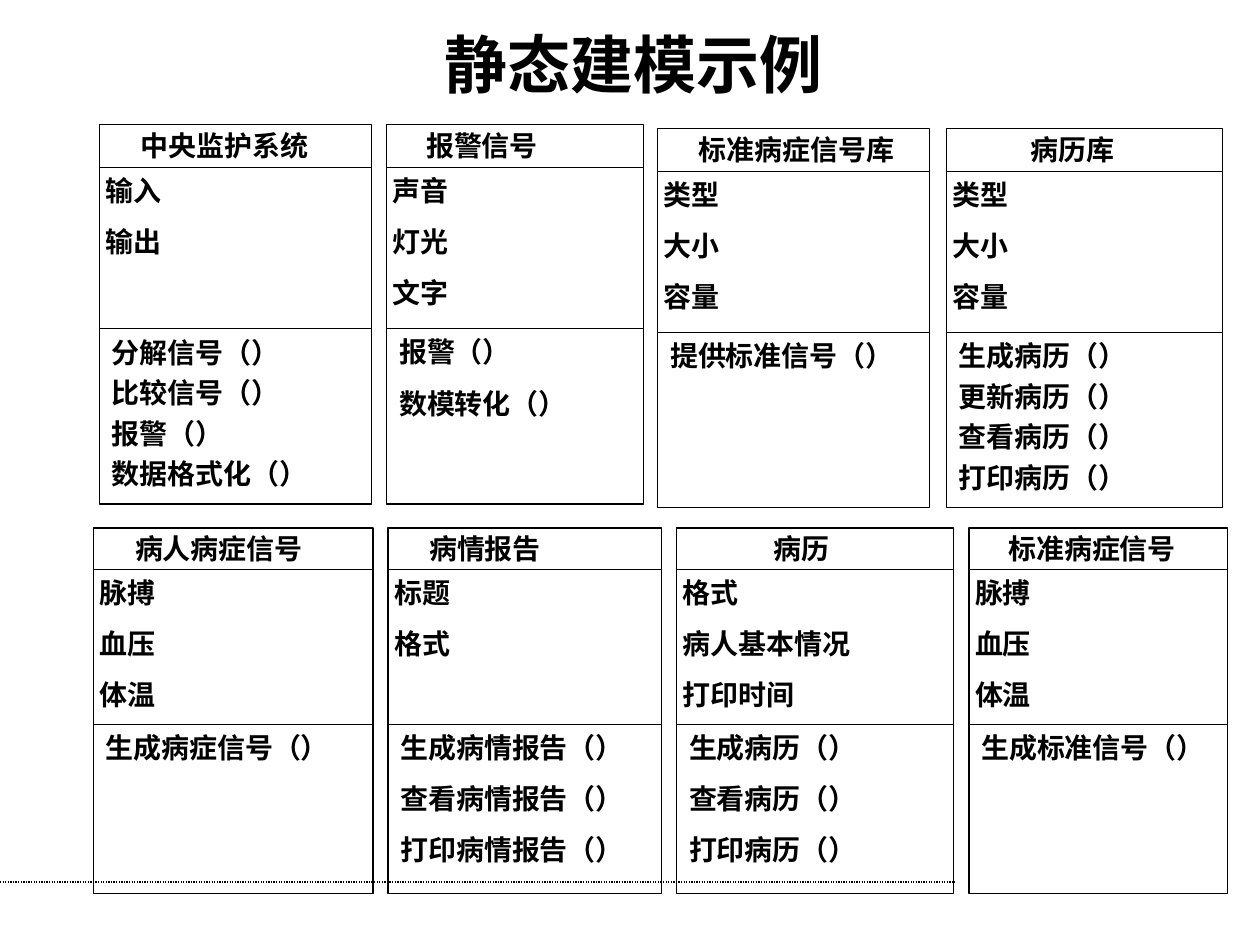
from dataclasses import dataclass

from lxml import etree
from pptx import Presentation
from pptx.dml.color import RGBColor
from pptx.enum import dml, shapes, text
from pptx.oxml import ns
from pptx.util import Inches, Pt


@dataclass(frozen=True)
class Theme:
    ink: RGBColor = RGBColor(0, 0, 0)
    paper: RGBColor = RGBColor(255, 255, 255)
    title_font: str = "Arial"
    body_font: str = "Times New Roman"
    title_size: Pt = Pt(36)
    body_size: Pt = Pt(16)
    line: Pt = Pt(0.75)


@dataclass(frozen=True)
class Row:
    """Shared proportions of the class boxes in one row, in inches."""
    height: float
    attributes: float
    operations: float


@dataclass(frozen=True)
class ClassBox:
    left: float
    top: float
    width: float
    name: str
    attributes: tuple
    operations: tuple
    name_indent: float = 0
    operation_gap: int = 10


THEME = Theme()
UPPER = Row(3.01, 0.34, 1.62)
LOWER = Row(2.9, 0.33, 1.56)
VITALS = ("脉搏", "血压", "体温")
STORE = ("类型", "大小", "容量")

CLASSES = {
    UPPER: (
        ClassBox(0.79, 0.99, 2.16, "中央监护系统", ("输入", "输出"),
                 ("分解信号（）", "比较信号（）", "报警（）", "数据格式化（）"),
                 operation_gap=4),
        ClassBox(3.07, 0.99, 2.04, "报警信号", ("声音", "灯光", "文字"),
                 ("报警（）", "数模转化（）")),
        ClassBox(5.22, 1.02, 2.16, "标准病症信号库", STORE, ("提供标准信号（）",)),
        ClassBox(7.51, 1.02, 2.19, "病历库", STORE,
                 ("生成病历（）", "更新病历（）", "查看病历（）", "打印病历（）"),
                 name_indent=0.34, operation_gap=4),
    ),
    LOWER: (
        ClassBox(0.74, 4.19, 2.22, "病人病症信号", VITALS, ("生成病症信号（）",)),
        ClassBox(3.08, 4.19, 2.17, "病情报告", ("标题", "格式"),
                 ("生成病情报告（）", "查看病情报告（）", "打印病情报告（）")),
        ClassBox(5.37, 4.19, 2.2, "病历", ("格式", "病人基本情况", "打印时间"),
                 ("生成病历（）", "查看病历（）", "打印病历（）"), name_indent=0.44),
        ClassBox(7.69, 4.19, 2.05, "标准病症信号", VITALS, ("生成标准信号（）",)),
    ),
}


def add_rule(s, left, y, width):
    """Draw a horizontal line."""
    rule = s.shapes.add_connector(shapes.MSO_CONNECTOR.STRAIGHT, Inches(left),
                                  Inches(y), Inches(left + width), Inches(y))
    rule.line.color.rgb = THEME.ink
    rule.line.width = THEME.line
    etree.SubElement(rule._element.spPr, ns.qn("a:effectLst"))
    return rule


def add_lines(s, left, top, width, lines, gap=10, indent=0):
    """Place one paragraph per line, gap points apart."""
    height = 0.1 + 0.27 * len(lines) + gap / 72 * (len(lines) - 1)
    sp = s.shapes.add_textbox(Inches(left), Inches(top), Inches(width), Inches(height))
    tf = sp.text_frame
    tf.word_wrap = True
    tf.margin_left = Inches(0.1 + indent)
    for i, line in enumerate(lines):
        p = tf.paragraphs[0] if i == 0 else tf.add_paragraph()
        p.alignment = text.PP_ALIGN.JUSTIFY
        if i:
            p.space_before = Pt(gap)
        r = p.add_run()
        r.text = line
        r.font.name = THEME.body_font
        r.font.size = THEME.body_size
        r.font.bold = True
        r.font.color.rgb = THEME.ink


def add_title(s, left, top, width, height):
    sp = s.shapes.add_textbox(Inches(left), Inches(top), Inches(width), Inches(height))
    tf = sp.text_frame
    tf.word_wrap = True
    tf.vertical_anchor = text.MSO_ANCHOR.MIDDLE
    p = tf.paragraphs[0]
    p.alignment = text.PP_ALIGN.CENTER
    r = p.add_run()
    r.text = "静态建模示例"
    r.font.name = THEME.title_font
    r.font.size = THEME.title_size
    r.font.bold = True
    r.font.color.rgb = THEME.ink


def add_class(s, row, box):
    """Draw a frame with name, attribute and operation compartments."""
    frame = s.shapes.add_shape(shapes.MSO_SHAPE.RECTANGLE, Inches(box.left),
                               Inches(box.top), Inches(box.width), Inches(row.height))
    frame.shadow.inherit = False
    frame.fill.background()
    frame.line.color.rgb = THEME.ink
    frame.line.width = THEME.line

    text_width = box.width * 1.1
    add_lines(s, box.left + box.width * 0.105, box.top - 0.02, text_width,
              (box.name,), indent=box.name_indent)
    add_lines(s, box.left - 0.05, box.top + row.attributes, text_width,
              box.attributes)
    add_lines(s, box.left, box.top + row.operations, text_width,
              box.operations, box.operation_gap)
    for offset in (row.attributes, row.operations):
        add_rule(s, box.left, box.top + offset, box.width)


def main():
    prs = Presentation()
    prs.slide_width, prs.slide_height = Inches(10), Inches(7.5)
    s = prs.slides.add_slide(prs.slide_layouts[6])
    s.background.fill.solid()
    s.background.fill.fore_color.rgb = THEME.paper

    footer = add_rule(s, 0, 7, 7.58)
    footer.line.dash_style = dml.MSO_LINE.ROUND_DOT
    add_title(s, 0.5, 0.25, 9.05, 0.5)
    for row, boxes in CLASSES.items():
        for box in boxes:
            add_class(s, row, box)
    prs.save("out.pptx")


if __name__ == "__main__":
    main()
